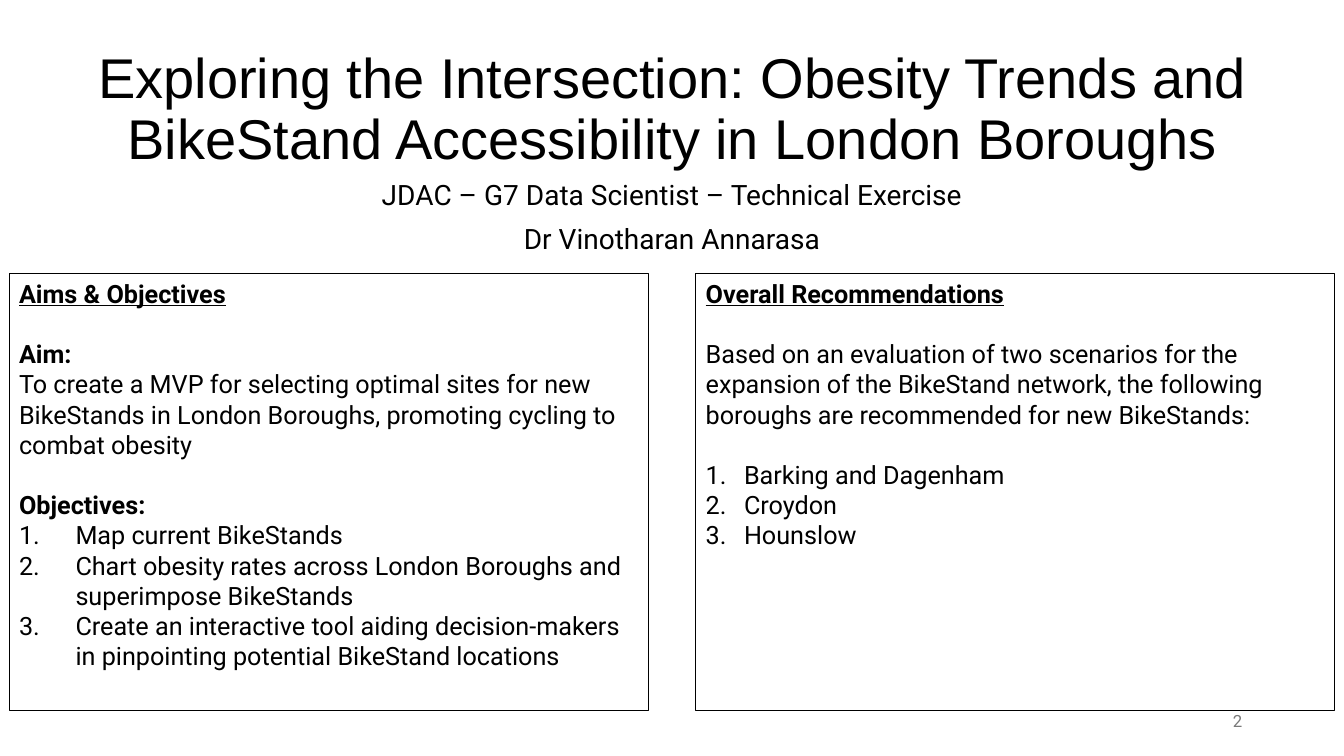
from dataclasses import dataclass

from lxml import etree
from pptx import Presentation
from pptx import util as u
from pptx.dml.color import RGBColor
from pptx.enum import shapes, text
from pptx.oxml import ns


@dataclass(frozen=True)
class Theme:
    ink: str = "000000"
    muted: str = "797979"
    title_font: str = "Arial"
    body_font: str = "Roboto"
    title_size: float = 40
    subtitle_size: float = 20
    body_size: float = 18
    number_size: float = 12
    line_width: float = 0.75
    section_gap: float = 21.5


def write(paragraph, words, *, font, size, color, bold=False, underline=False,
          align=text.PP_ALIGN.LEFT, spacing=None, before=0, number_indent=None):
    """Fill a paragraph with one formatted run, optionally auto-numbered."""
    paragraph.alignment = align
    paragraph.line_spacing = spacing
    paragraph.space_before = u.Pt(before)
    run = paragraph.add_run()
    run.text = words
    run.font.name = font
    run.font.size = u.Pt(size)
    run.font.bold = bold
    run.font.underline = underline
    run.font.color.rgb = RGBColor.from_string(color)
    if number_indent:
        properties = paragraph._p.get_or_add_pPr()
        properties.set("marL", str(u.Inches(number_indent)))
        properties.set("indent", str(-u.Inches(number_indent)))
        etree.SubElement(properties, ns.qn("a:buFont"), typeface="+mj-lt")
        etree.SubElement(properties, ns.qn("a:buAutoNum"), type="arabicPeriod")


class SlideBuilder:
    """Places elements on a grid of 100 columns by 100 rows."""

    def __init__(self, presentation, theme):
        self.theme = theme
        self.column = presentation.slide_width / 100
        self.row = presentation.slide_height / 100
        self.slide = presentation.slides.add_slide(presentation.slide_layouts[5])

    def area(self, left, top, width, height):
        return (round(left * self.column), round(top * self.row),
                round(width * self.column), round(height * self.row))

    def frame(self, shape, anchor):
        frame = shape.text_frame
        frame.word_wrap = True
        frame.auto_size = text.MSO_AUTO_SIZE.NONE
        frame.vertical_anchor = anchor
        return frame

    def fill_frame(self, frame, lines, **style):
        for index, (words, extra) in enumerate(lines):
            paragraph = frame.add_paragraph() if index else frame.paragraphs[0]
            write(paragraph, words, **{**style, **extra})

    def title(self, words, *place):
        shape = self.slide.shapes.title
        shape.left, shape.top, shape.width, shape.height = self.area(*place)
        frame = self.frame(shape, text.MSO_ANCHOR.BOTTOM)
        write(frame.paragraphs[0], words, font=self.theme.title_font,
              size=self.theme.title_size, color=self.theme.ink,
              align=text.PP_ALIGN.CENTER, spacing=0.9)

    def label(self, lines, *place, anchor=text.MSO_ANCHOR.TOP, **style):
        shape = self.slide.shapes.add_textbox(*self.area(*place))
        self.fill_frame(self.frame(shape, anchor), [(line, {}) for line in lines],
                        font=self.theme.body_font, **style)

    def panel(self, lines, *place):
        shape = self.slide.shapes.add_shape(
            shapes.MSO_SHAPE.RECTANGLE, *self.area(*place))
        shape.shadow.inherit = False
        shape.fill.background()
        shape.line.color.rgb = RGBColor.from_string(self.theme.ink)
        shape.line.width = u.Pt(self.theme.line_width)
        self.fill_frame(self.frame(shape, text.MSO_ANCHOR.TOP), lines,
                        font=self.theme.body_font, size=self.theme.body_size,
                        color=self.theme.ink)


def main():
    presentation = Presentation()
    presentation.slide_width = u.Inches(13.33)
    presentation.slide_height = u.Inches(7.5)
    theme = Theme()
    builder = SlideBuilder(presentation, theme)

    # Title and subtitle
    builder.title("Exploring the Intersection: Obesity Trends and "
                  "BikeStand Accessibility in London Boroughs",
                  3.6, 4.13, 92.8, 19.2)
    builder.label(["JDAC – G7 Data Scientist – Technical Exercise",
                   "Dr Vinotharan Annarasa"], 12.5, 23.33, 75, 12.8,
                  size=theme.subtitle_size, color=theme.ink,
                  align=text.PP_ALIGN.CENTER, spacing=0.9, before=10)

    # Paragraph roles inside the panels
    heading = {"bold": True, "underline": True}
    gap = {"before": theme.section_gap}
    subheading = {"bold": True, **gap}
    objective = {"number_indent": 0.56}
    borough = {"number_indent": 0.38}

    aims = [
        ("Aims & Objectives", heading),
        ("Aim:", subheading),
        ("To create a MVP for selecting optimal sites for new BikeStands in "
         "London Boroughs, promoting cycling to combat obesity", {}),
        ("Objectives:", subheading),
        ("Map current BikeStands", objective),
        ("Chart obesity rates across London Boroughs and superimpose "
         "BikeStands", objective),
        ("Create an interactive tool aiding decision-makers in pinpointing "
         "potential BikeStand locations", objective),
    ]
    recommendations = [
        ("Overall Recommendations", heading),
        ("Based on an evaluation of two scenarios for the expansion of the "
         "BikeStand network, the following boroughs are recommended for new "
         "BikeStands:", gap),
        ("Barking and Dagenham", {**borough, **gap}),
        ("Croydon", borough),
        ("Hounslow", borough),
    ]

    # Side-by-side panels
    for index, lines in enumerate((aims, recommendations)):
        builder.panel(lines, 0.68 + index * 51.09, 36.13, 47.56, 57.87)

    # Slide number
    builder.label(["2"], 70.67, 92.67, 22.5, 5.33,
                  anchor=text.MSO_ANCHOR.MIDDLE, size=theme.number_size,
                  color=theme.muted, align=text.PP_ALIGN.RIGHT)

    presentation.save("out.pptx")


if __name__ == "__main__":
    main()
